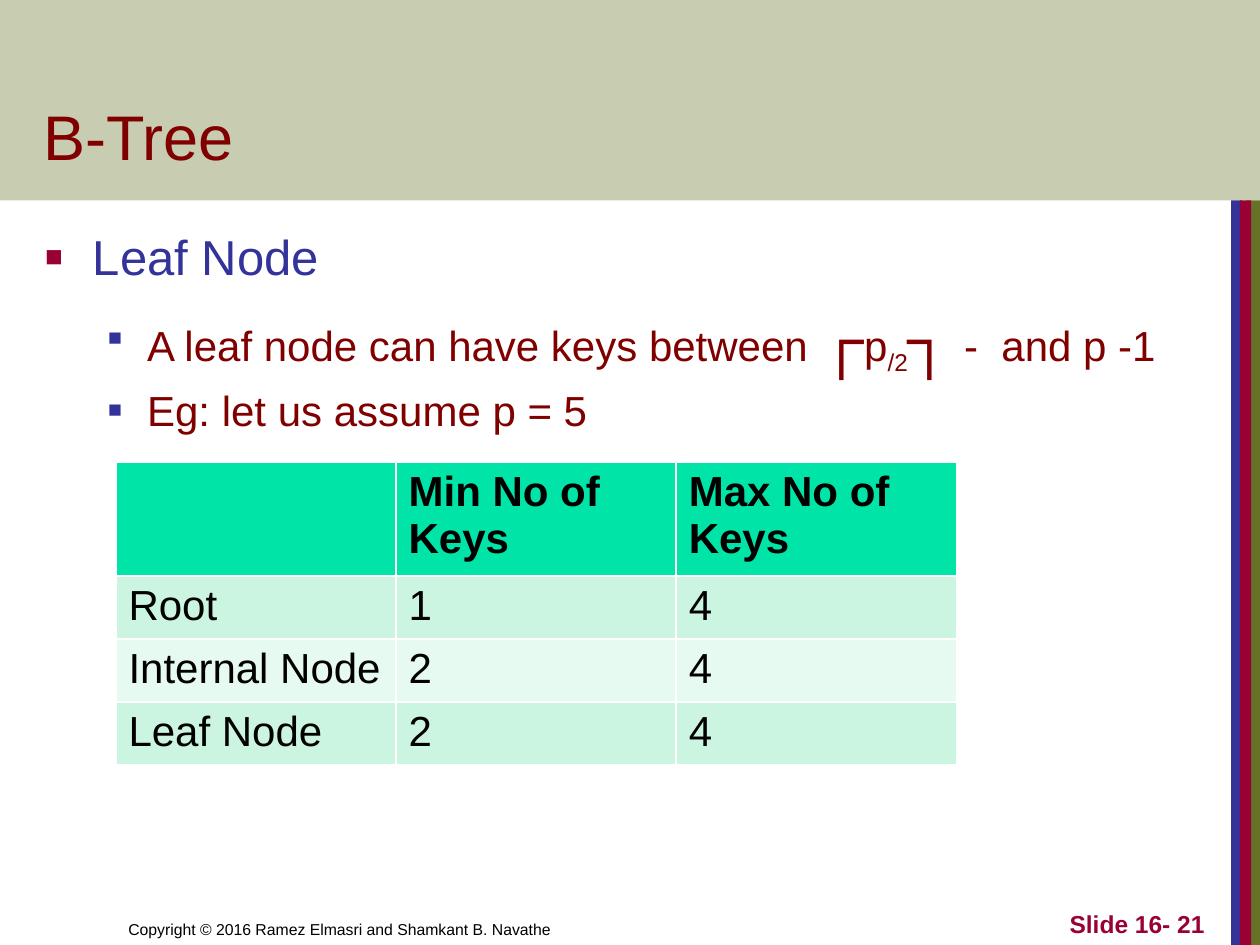
"""Build the B-Tree leaf node slide with its table of key limits."""
import pptx
import pptx.dml.color
import pptx.enum.shapes
import pptx.enum.text
import pptx.oxml
import pptx.oxml.ns
import pptx.util

Inches = pptx.util.Inches
Pt = pptx.util.Pt
NAMESPACE = pptx.oxml.ns.nsdecls("a")


def color(value):
    return pptx.dml.color.RGBColor.from_string(value)


def style(paragraph, size, value, bold=False):
    paragraph.font.name = "Arial"
    paragraph.font.size = Pt(size)
    paragraph.font.bold = bold
    paragraph.font.color.rgb = color(value)


presentation = pptx.Presentation()
presentation.slide_width = Inches(10)
presentation.slide_height = Inches(7.5)
slide = presentation.slides.add_slide(presentation.slide_layouts[6])

band_height = 1.59
bar_height = 7.5 - band_height
rectangles = [
    (9.89, band_height, 0.11, bar_height, "677228"),
    (9.77, band_height, 0.09, bar_height, "333399"),
    (9.84, band_height, 0.09, bar_height, "990033"),
    (0, 0, 10, band_height, "677228"),
]
for *box, fill in rectangles:
    shape = slide.shapes.add_shape(
        pptx.enum.shapes.MSO_SHAPE.RECTANGLE, *map(Inches, box))
    shape.shadow.inherit = False
    shape.fill.solid()
    shape.fill.fore_color.rgb = color(fill)
    shape.line.fill.background()
band_color = shape.fill._xPr.find(".//" + pptx.oxml.ns.qn("a:srgbClr"))
band_color.append(pptx.oxml.parse_xml(f'<a:alpha {NAMESPACE} val="36000"/>'))

left = pptx.enum.text.PP_ALIGN.LEFT
right = pptx.enum.text.PP_ALIGN.RIGHT
labels = [
    ("Copyright © 2016 Ramez Elmasri and Shamkant B. Navathe",
     (0.92, 7, 4.92, 0.5), 9, "000000", False, left),
    ("B-Tree", (0.25, 0.33, 8.53, 1.09), 36, "800000", False, left),
    ("Slide 16- 21", (7.58, 7, 2.08, 0.5), 14, "990033", True, right),
]
for text, box, size, value, bold, alignment in labels:
    frame = slide.shapes.add_textbox(*map(Inches, box)).text_frame
    frame.word_wrap = True
    frame.vertical_anchor = pptx.enum.text.MSO_ANCHOR.BOTTOM
    paragraph = frame.paragraphs[0]
    paragraph.text = text
    paragraph.alignment = alignment
    style(paragraph, size, value, bold)

body = slide.shapes.add_textbox(*map(Inches, (0.26, 1.75, 9.07, 5))).text_frame
body.word_wrap = True
body.margin_right = 0
points = [
    (0, 0.38, 0.38, "990033", 60, 28, "333399", [("Leaf Node", 28, 0)]),
    (1, 0.81, 0.31, "333399", 55, 24, "800000", [
        ("A leaf node can have keys between ", 24, 0), ("┌", 36, 0),
        ("p", 24, 0), ("/2", 24, -25), ("┐", 36, 0), (" -  and p -1", 24, 0)]),
    (1, 0.81, 0.31, "333399", 55, 24, "800000",
     [("Eg: let us assume p = 5", 24, 0)]),
]
for index, point in enumerate(points):
    level, margin, hanging, bullet_color, bullet_size, size, value, pieces = point
    paragraph = body.add_paragraph() if index else body.paragraphs[0]
    paragraph.level = level
    properties = paragraph._p.get_or_add_pPr()
    properties.set("marL", str(Inches(margin)))
    properties.set("indent", str(-Inches(hanging)))
    for markup in (
        f'<a:spcBef {NAMESPACE}><a:spcPct val="20000"/></a:spcBef>',
        f'<a:buClr {NAMESPACE}><a:srgbClr val="{bullet_color}"/></a:buClr>',
        f'<a:buSzPct {NAMESPACE} val="{bullet_size * 1000}"/>',
        f'<a:buFont {NAMESPACE} typeface="Arial"/>',
        f'<a:buChar {NAMESPACE} char="■"/>',
    ):
        properties.append(pptx.oxml.parse_xml(markup))
    style(paragraph, size, value)
    for text, run_size, baseline in pieces:
        run = paragraph.add_run()
        run.text = text
        run.font.size = Pt(run_size)
        if baseline:
            run.font._element.set("baseline", str(baseline * 1000))

rows = [
    ("", "Min No of Keys", "Max No of Keys"),
    ("Root", "1", "4"),
    ("Internal Node", "2", "4"),
    ("Leaf Node", "2", "4"),
]
fills = ["00E4A8", "CCF5E1", "E7FAF1", "CCF5E1"]
table = slide.shapes.add_table(
    len(rows), 3, *map(Inches, (0.92, 3.67, 6.67, 1.62))).table
for row_index, (texts, fill) in enumerate(zip(rows, fills)):
    for column_index, text in enumerate(texts):
        cell = table.cell(row_index, column_index)
        cell.fill.solid()
        cell.fill.fore_color.rgb = color(fill)
        cell.text = text
        style(cell.text_frame.paragraphs[0], 24, "000000", row_index == 0)

presentation.save("out.pptx")
